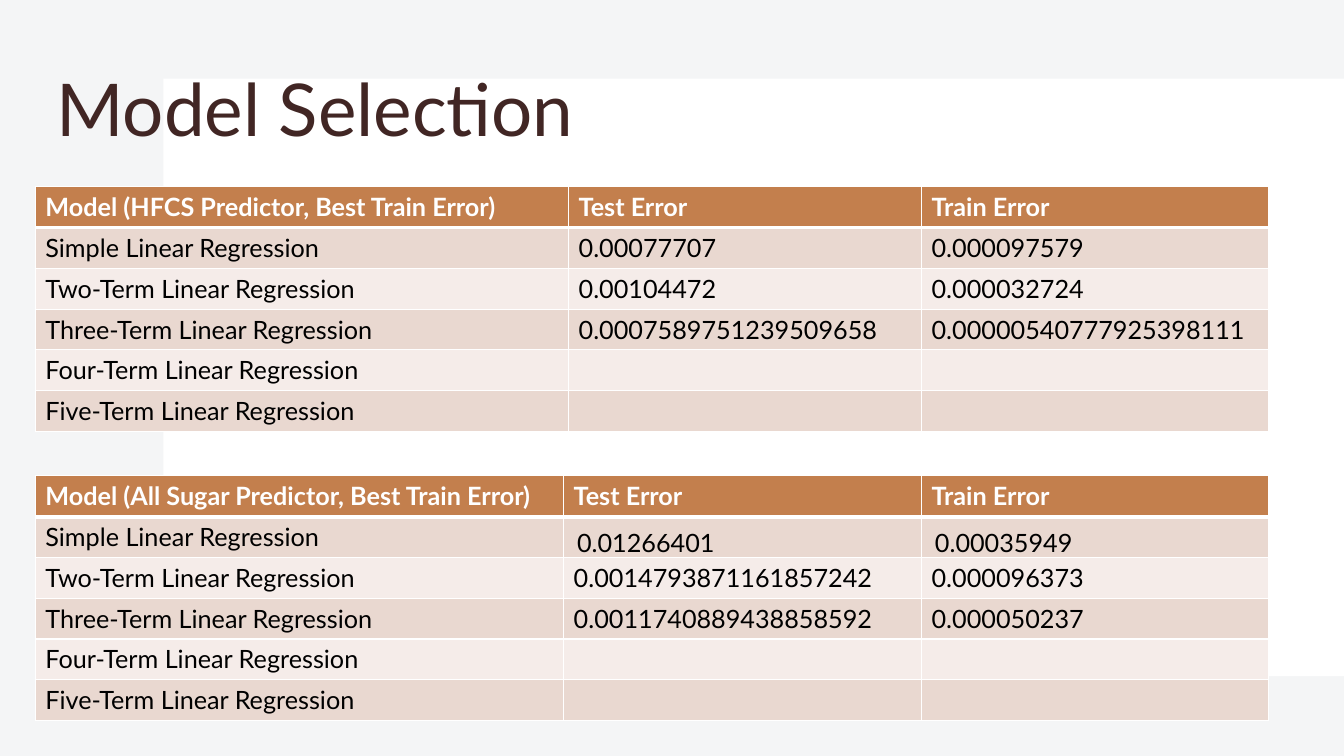
import dataclasses

import lxml.etree
import pptx
import pptx.dml.color
import pptx.enum.shapes
import pptx.enum.text
import pptx.oxml.ns
import pptx.util


@dataclasses.dataclass(frozen=True)
class Theme:
    font: str = "Lato"
    title_size: int = 52
    table_size: int = 18
    backdrop: str = "E2E5E8"
    backdrop_opacity: int = 35
    white: str = "FFFFFF"
    title: str = "412624"
    header: str = "C37F4D"
    bands: tuple = ("E9D8D0", "F5ECE9")
    body: str = "000000"
    thin_rule: int = 1
    thick_rule: int = 3


THEME = Theme()
WIDTH = pptx.util.Inches(13.33)
HEIGHT = pptx.util.Inches(7.5)
TABLE_LEFT = 2.63
ROW_HEIGHTS = (5.42,) * 3 + (5.33,) * 3
MODELS = [f"{count} Linear Regression" for count in
          ("Simple", "Two-Term", "Three-Term", "Four-Term", "Five-Term")]
HFCS_ERRORS = [
    ("0.00077707", "0.000097579"),
    ("0.00104472", "0.000032724"),
    ("0.0007589751239509658", "0.00000540777925398111"),
    ("", ""),
    ("", ""),
]
SUGAR_ERRORS = [
    ("0.01266401", "0.00035949"),
    ("0.0014793871161857242", "0.000096373"),
    ("0.0011740889438858592", "0.000050237"),
    ("", ""),
    ("", ""),
]


def across(percent):
    return round(WIDTH * percent / 100)


def down(percent):
    return round(HEIGHT * percent / 100)


def area(left, top, width, height):
    return across(left), down(top), across(width), down(height)


def rgb(color):
    return pptx.dml.color.RGBColor.from_string(color)


def write(paragraph, text, size, color, bold=False):
    run = paragraph.add_run()
    run.text = text
    run.font.name = THEME.font
    run.font.size = pptx.util.Pt(size)
    run.font.color.rgb = rgb(color)
    run.font.bold = bold


def add_panel(slide, place, color, opacity=100):
    panel = slide.shapes.add_shape(
        pptx.enum.shapes.MSO_SHAPE.RECTANGLE, *area(*place))
    panel.shadow.inherit = False
    panel.line.fill.background()
    panel.fill.solid()
    panel.fill.fore_color.rgb = rgb(color)
    if opacity < 100:
        tint = panel.fill._xPr.find(".//" + pptx.oxml.ns.qn("a:srgbClr"))
        lxml.etree.SubElement(tint, pptx.oxml.ns.qn("a:alpha"),
                              val=str(opacity * 1000))


def set_title(slide, text, place):
    title = slide.shapes.title
    slide.shapes._spTree.append(title._element)
    title.left, title.top, title.width, title.height = area(*place)
    frame = title.text_frame
    frame.auto_size = pptx.enum.text.MSO_AUTO_SIZE.NONE
    frame.vertical_anchor = pptx.enum.text.MSO_ANCHOR.MIDDLE
    heading = frame.paragraphs[0]
    heading.alignment = pptx.enum.text.PP_ALIGN.LEFT
    heading.line_spacing = 0.9
    write(heading, text, THEME.title_size, THEME.title)


def add_rule(cell, side, points):
    rule = lxml.etree.SubElement(
        cell._tc.get_or_add_tcPr(), pptx.oxml.ns.qn(f"a:ln{side}"),
        w=str(pptx.util.Pt(points)))
    fill = lxml.etree.SubElement(rule, pptx.oxml.ns.qn("a:solidFill"))
    lxml.etree.SubElement(fill, pptx.oxml.ns.qn("a:srgbClr"), val=THEME.white)


def fill_cell(cell, text, row):
    is_header = row == 0
    thick_side = {0: "B", 1: "T"}.get(row)
    for side in "LRTB":
        add_rule(cell, side,
                 THEME.thick_rule if side == thick_side else THEME.thin_rule)
    cell.fill.solid()
    cell.fill.fore_color.rgb = rgb(
        THEME.header if is_header else THEME.bands[(row - 1) % 2])
    if text:
        write(cell.text_frame.paragraphs[0], text, THEME.table_size,
              THEME.white if is_header else THEME.body, is_header)


def add_error_table(slide, predictor, errors, top, columns):
    header = (f"Model ({predictor} Predictor, Best Train Error)",
              "Test Error", "Train Error")
    rows = [header] + [(model, *pair) for model, pair in zip(MODELS, errors)]
    table = slide.shapes.add_table(
        len(rows), len(header),
        *area(TABLE_LEFT, top, sum(columns), sum(ROW_HEIGHTS))).table
    for column, share in zip(table.columns, columns):
        column.width = across(share)
    for row, share in zip(table.rows, ROW_HEIGHTS):
        row.height = down(share)
    for r, values in enumerate(rows):
        for c, value in enumerate(values):
            fill_cell(table.cell(r, c), value, r)
    return table


def sink_to_bottom(cell):
    cell.vertical_anchor = pptx.enum.text.MSO_ANCHOR.BOTTOM
    cell.margin_left = across(1)
    cell.margin_right = cell.margin_top = across(0.08)
    cell.margin_bottom = 0


def main():
    deck = pptx.Presentation()
    deck.slide_width, deck.slide_height = WIDTH, HEIGHT
    slide = deck.slides.add_slide(deck.slide_layouts.get_by_name("Title Only"))
    add_panel(slide, (0, 0, 100, 100), THEME.backdrop, THEME.backdrop_opacity)
    add_panel(slide, (12.15, 10.4, 87.85, 79.05), THEME.white)
    set_title(slide, "Model Selection", (3.45, 5.33, 86.5, 19.33))
    add_error_table(slide, "HFCS", HFCS_ERRORS, 24.67, (39.68, 26.26, 25.8))
    sugar = add_error_table(slide, "All Sugar", SUGAR_ERRORS, 62.93,
                            (39.31, 26.63, 25.8))
    for column in (1, 2):
        sink_to_bottom(sugar.cell(1, column))
    deck.save("out.pptx")


if __name__ == "__main__":
    main()
